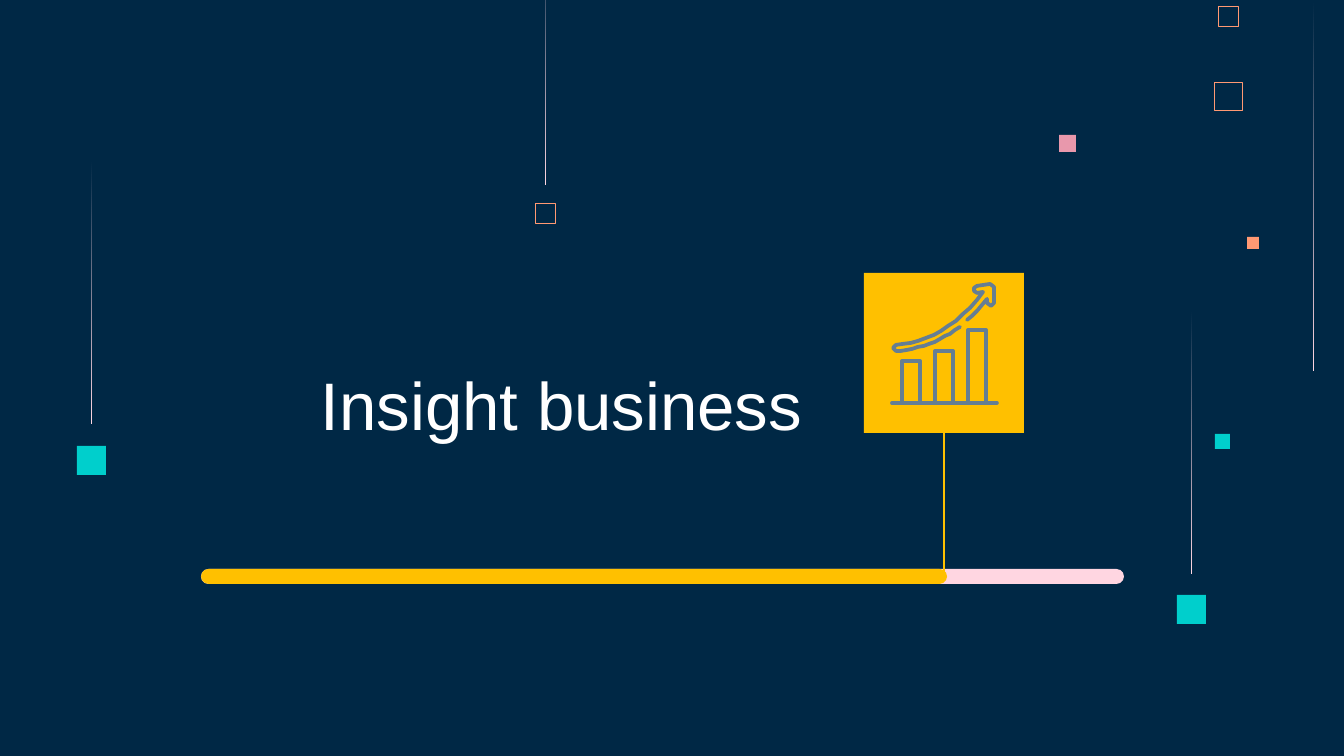
from lxml import etree
from pptx import Presentation
from pptx import util as u
from pptx.dml.color import RGBColor
from pptx.enum import shapes, text
from pptx.oxml.ns import qn

SCALE = 914400 / 134.4  # EMU per px
HUES = {
    "navy": "002845", "teal": "00CFCC", "rose": "E898AC", "blush": "FFD6E1",
    "coral": "FF9973", "gold": "FFC000", "slate": "657E93", "white": "FFFFFF",
}


def emu(px):
    return u.Emu(round(px * SCALE))


def hue(name):
    return RGBColor.from_string(HUES[name])


def curve(a, b, c, d, steps=12):
    """Points along the cubic Bezier curve from a to d."""
    pts = []
    for i in range(steps + 1):
        t = i / steps
        s = 1 - t
        pts.append(tuple(round(s**3 * p + 3 * s * s * t * q + 3 * s * t * t * r + t**3 * v, 1)
                         for p, q, r, v in zip(a, b, c, d)))
    return pts


class Deck:
    def __init__(self, wide, high):
        self.prs = Presentation()
        self.prs.slide_width, self.prs.slide_height = emu(wide), emu(high)
        self.font = "Arial"

    def start(self, back):
        self.slide = self.prs.slides.add_slide(self.prs.slide_layouts[5])
        fill = self.slide.background.fill
        fill.solid()
        fill.fore_color.rgb = hue(back)

    def title(self, words, x, y, w, h, size):
        box = self.slide.shapes.title
        box.left, box.top, box.width, box.height = map(emu, (x, y, w, h))
        frame = box.text_frame
        frame.text = words
        frame.word_wrap = True
        frame.auto_size = text.MSO_AUTO_SIZE.NONE
        frame.vertical_anchor = text.MSO_ANCHOR.BOTTOM
        frame.margin_left = frame.margin_right = u.Inches(0.1)
        frame.margin_top = frame.margin_bottom = u.Inches(0.1)
        para = frame.paragraphs[0]
        para.alignment = text.PP_ALIGN.CENTER
        font = para.runs[0].font
        font.name, font.size = self.font, u.Pt(size)
        font.color.rgb = hue("white")

    def paint(self, shape, fill=None, line=None, width=1):
        shape.shadow.inherit = False
        if fill:
            shape.fill.solid()
            shape.fill.fore_color.rgb = hue(fill)
        else:
            shape.fill.background()
        if line:
            shape.line.color.rgb = hue(line)
            shape.line.width = u.Pt(width)
        else:
            shape.line.fill.background()
        return shape

    def rect(self, x, y, w, h, fill=None, line=None, width=1):
        shape = self.slide.shapes.add_shape(
            shapes.MSO_SHAPE.RECTANGLE, *map(emu, (x, y, w, h)))
        return self.paint(shape, fill, line, width)

    def pill(self, x, y, w, h, fill):
        shape = self.slide.shapes.add_shape(
            shapes.MSO_SHAPE.ROUNDED_RECTANGLE, *map(emu, (x, y, w, h)))
        shape.adjustments[0] = 0.5
        return self.paint(shape, fill)

    def streak(self, x, y, h):
        """Hairline that fades in from the background, top to bottom."""
        fill = self.rect(x, y, 1, h, "blush").fill
        fill.gradient()
        fill.gradient_angle = 270
        for stop, name in zip(fill.gradient_stops, ("navy", "blush")):
            stop.color.rgb = hue(name)

    def stroke(self, pts, line, width, closed=False):
        pen = self.slide.shapes.build_freeform(*pts[0], scale=SCALE)
        pen.add_line_segments(pts[1:], close=closed)
        shape = self.paint(pen.convert_to_shape(), None, line, width)
        ln = shape.line._get_or_add_ln()
        ln.set("cap", "rnd")
        etree.SubElement(ln, qn("a:round"))

    def link(self, x1, y1, x2, y2, line, width, box=None):
        wire = self.slide.shapes.add_connector(
            shapes.MSO_CONNECTOR.STRAIGHT, *map(emu, (x1, y1, x2, y2)))
        if box is not None:
            wire.begin_connect(box, 2)
        wire.line.color.rgb = hue(line)
        wire.line.width = u.Pt(width)
        etree.SubElement(wire._element.spPr, qn("a:effectLst"))


def decor(deck):
    for x, y, size, fill in (
        (1059, 135, 17, "rose"), (1215, 434, 15, "teal"), (1247, 237, 12, "coral"),
        (1177, 595, 29, "teal"), (77, 446, 29, "teal"),
    ):
        deck.rect(x, y, size, size, fill)
    for x, y, size, width in ((1214, 82, 28, 0.45), (1218, 6, 20, 0.32), (535, 203, 20, 0.32)):
        deck.rect(x, y, size, size, None, "coral", width)
    for x, y, h in ((545, -64, 249), (1313, 0, 371), (1191, 310, 264), (91, 160, 264)):
        deck.streak(x, y, h)


def icon(deck):
    base = 403
    for i, top in enumerate((361, 351, 330)):
        x = 902 + 33 * i
        deck.stroke([(x, base), (x, top), (x + 18, top), (x + 18, base)], "slate", 2, True)
    deck.stroke([(892, base), (997, base)], "slate", 2)
    under = curve((960, 327), (942, 341), (917, 350), (896, 351))
    over = curve((896, 345), (925, 344), (958, 326), (983, 292))
    head = [(977, 293), (974, 291), (974, 288), (977, 286), (990, 284), (994, 287),
            (994, 303), (991, 306), (987, 303), (987, 299)]
    tail = curve((987, 299), (980, 307), (973, 315), (967, 320), 4)
    deck.stroke(under + [(893, 348)] + over + head + tail[1:], "slate", 2)


def main():
    deck = Deck(1344, 756)
    deck.start("navy")
    decor(deck)
    deck.title("Insight business", 259, 333, 605, 124, 36)
    card = deck.rect(864, 273, 160, 160, "gold")
    for w, fill in ((923, "blush"), (746, "gold")):
        deck.pill(201, 569, w, 15, fill)
    deck.link(944, 433, 944, 576, "gold", 1.5, card)
    icon(deck)
    deck.prs.save("out.pptx")


if __name__ == "__main__":
    main()
